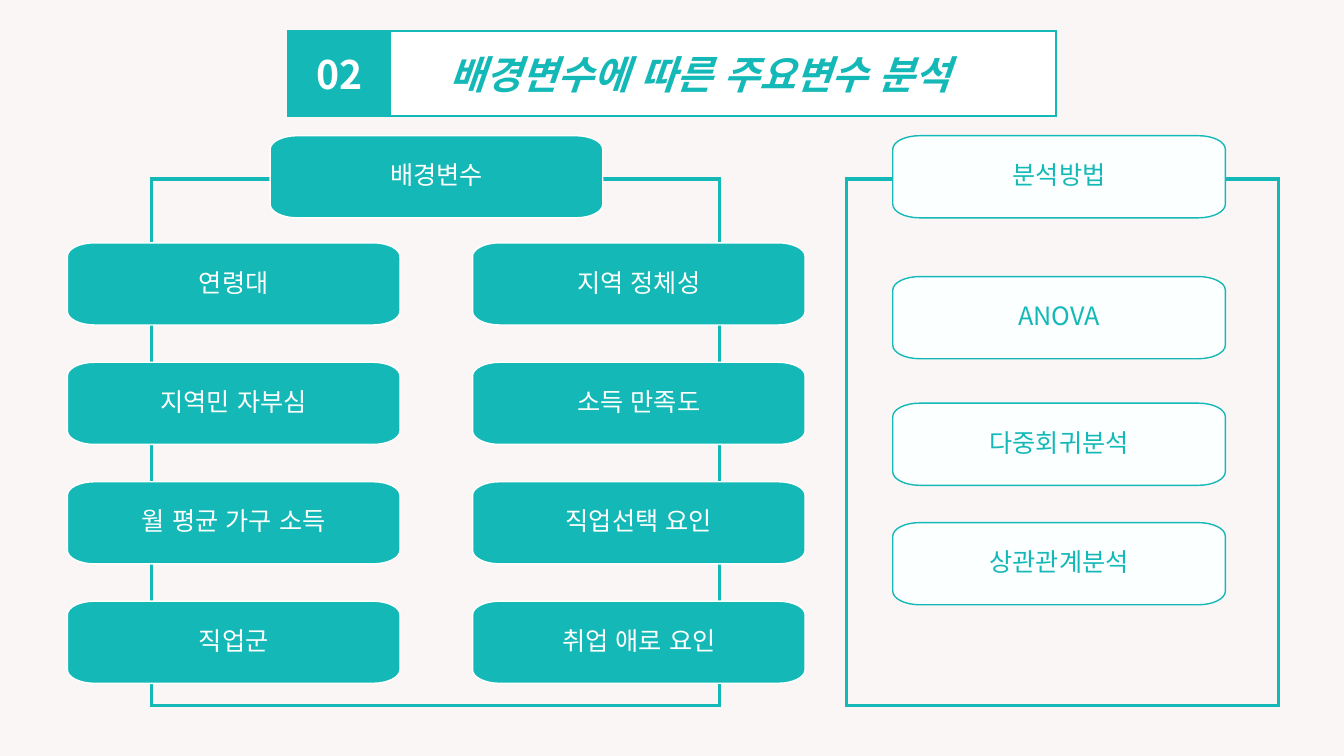
import pptx
import pptx.dml.color
import pptx.enum.lang
import pptx.enum.shapes
import pptx.enum.text
import pptx.oxml.ns
import pptx.util
from lxml import etree

Cm = pptx.util.Cm
Pt = pptx.util.Pt
qn = pptx.oxml.ns.qn
FONT = "Noto Sans CJK KR"
COLORS = {"background": "F9F6F5", "teal": "14B9B7", "white": "FFFFFF", "mint": "FBFFFF"}
RGB = {name: pptx.dml.color.RGBColor.from_string(value) for name, value in COLORS.items()}


def paint(shape, fill, line, width):
    """Set fill (None for no fill) and a sharp-cornered outline."""
    if fill:
        shape.fill.solid()
        shape.fill.fore_color.rgb = RGB[fill]
    else:
        shape.fill.background()
    shape.line.color.rgb = RGB[line]
    shape.line.width = Pt(width)
    outline = shape._element.spPr.find(qn("a:ln"))
    etree.SubElement(outline, qn("a:miter")).set("lim", "800000")


def write(shape, text, size, color, bold=False, italic=False, spacing=1.0):
    """Put one centred run of text in the middle of a shape."""
    frame = shape.text_frame
    frame.word_wrap = True
    frame.auto_size = pptx.enum.text.MSO_AUTO_SIZE.NONE
    frame.vertical_anchor = pptx.enum.text.MSO_ANCHOR.MIDDLE
    paragraph = frame.paragraphs[0]
    paragraph.alignment = pptx.enum.text.PP_ALIGN.CENTER
    paragraph.line_spacing = spacing
    run = paragraph.add_run()
    run.text = text
    run.font.size = Pt(size)
    run.font.bold = bold
    run.font.italic = italic
    run.font.color.rgb = RGB[color]
    run.font.language_id = pptx.enum.lang.MSO_LANGUAGE_ID.KOREAN
    run.font.name = FONT
    east_asian = etree.SubElement(run.font._element, qn("a:ea"))
    east_asian.set("typeface", FONT)


presentation = pptx.Presentation()
presentation.slide_width = Cm(33.87)
presentation.slide_height = Cm(19.05)
slide = presentation.slides.add_slide(presentation.slide_layouts[5])
slide.background.fill.solid()
slide.background.fill.fore_color.rgb = RGB["background"]
RECTANGLE = pptx.enum.shapes.MSO_SHAPE.RECTANGLE

# Title bar with its number
title = slide.shapes.title
title.left, title.top, title.width, title.height = Cm(7.26), Cm(0.79), Cm(19.36), Cm(2.13)
paint(title, "white", "teal", 1.5)
write(title, "배경변수에 따른 주요변수 분석", 28, "teal", bold=True, italic=True)
title.text_frame.margin_left = Cm(1.67)

number = slide.shapes.add_shape(RECTANGLE, Cm(7.26), Cm(0.79), Cm(2.59), Cm(2.13))
number.shadow.inherit = False
paint(number, "teal", "teal", 1)
write(number, "02", 28, "white", bold=True)

# Frames behind the two groups of cards
for left, width in [(21.33, 10.89), (3.81, 14.32)]:
    frame = slide.shapes.add_shape(RECTANGLE, Cm(left), Cm(4.51), Cm(width), Cm(13.28))
    frame.shadow.inherit = False
    paint(frame, None, "teal", 2.25)

# Cards: text, left, top, fill and accent colour
HEADER_TOP = 3.42
variable_columns = [
    (1.7, ["연령대", "지역민 자부심", "월 평균 가구 소득", "직업군"]),
    (11.91, ["지역 정체성", "소득 만족도", "직업선택 요인", "취업 애로 요인"]),
]
methods = [
    ("분석방법", HEADER_TOP),
    ("ANOVA", 6.97),
    ("다중회귀분석", 10.16),
    ("상관관계분석", 13.17),
]
cards = []
for left, labels in variable_columns:
    for row, label in enumerate(labels):
        cards.append((label, left, 6.12 + 3.01 * row, "teal", "white"))
cards.append(("배경변수", 6.81, HEADER_TOP, "teal", "white"))
for label, top in methods:
    cards.append((label, 22.5, top, "mint", "teal"))

# Clockwise outline; every other segment, from the first, is a rounded corner
WIDTH, HEIGHT = 8.38, 2.07
RADIUS_X, RADIUS_Y = 0.68, 0.34
CURVE = 0.55
outline = [
    (0, RADIUS_Y), (RADIUS_X, 0),
    (WIDTH - RADIUS_X, 0), (WIDTH, RADIUS_Y),
    (WIDTH, HEIGHT - RADIUS_Y), (WIDTH - RADIUS_X, HEIGHT),
    (RADIUS_X, HEIGHT), (0, HEIGHT - RADIUS_Y),
]
corner_tips = [(0, 0), (WIDTH, 0), (WIDTH, HEIGHT), (0, HEIGHT)]

for label, left, top, fill, accent in cards:
    points = [(Cm(left + x), Cm(top + y)) for x, y in outline]
    builder = slide.shapes.build_freeform(*points[0])
    builder.add_line_segments(points[1:], close=True)
    card = builder.convert_to_shape()

    corner_lines = list(card._element.iter(qn("a:lnTo")))[::2]
    for line, tip, start, end in zip(corner_lines, corner_tips, outline[::2], outline[1::2]):
        curve = etree.Element(qn("a:cubicBezTo"))
        controls = [[a + CURVE * (b - a) for a, b in zip(edge, tip)] for edge in (start, end)]
        for x, y in controls + [end]:
            point = etree.SubElement(curve, qn("a:pt"))
            point.set("x", str(int(Cm(x))))
            point.set("y", str(int(Cm(y))))
        line.getparent().replace(line, curve)

    card.shadow.inherit = False
    paint(card, fill, accent, 1)
    write(card, label, 18, accent, spacing=0.9)
    text_frame = card.text_frame
    text_frame.margin_left = text_frame.margin_right = Cm(0.23)
    text_frame.margin_top = text_frame.margin_bottom = Cm(0.23)

presentation.save("out.pptx")
